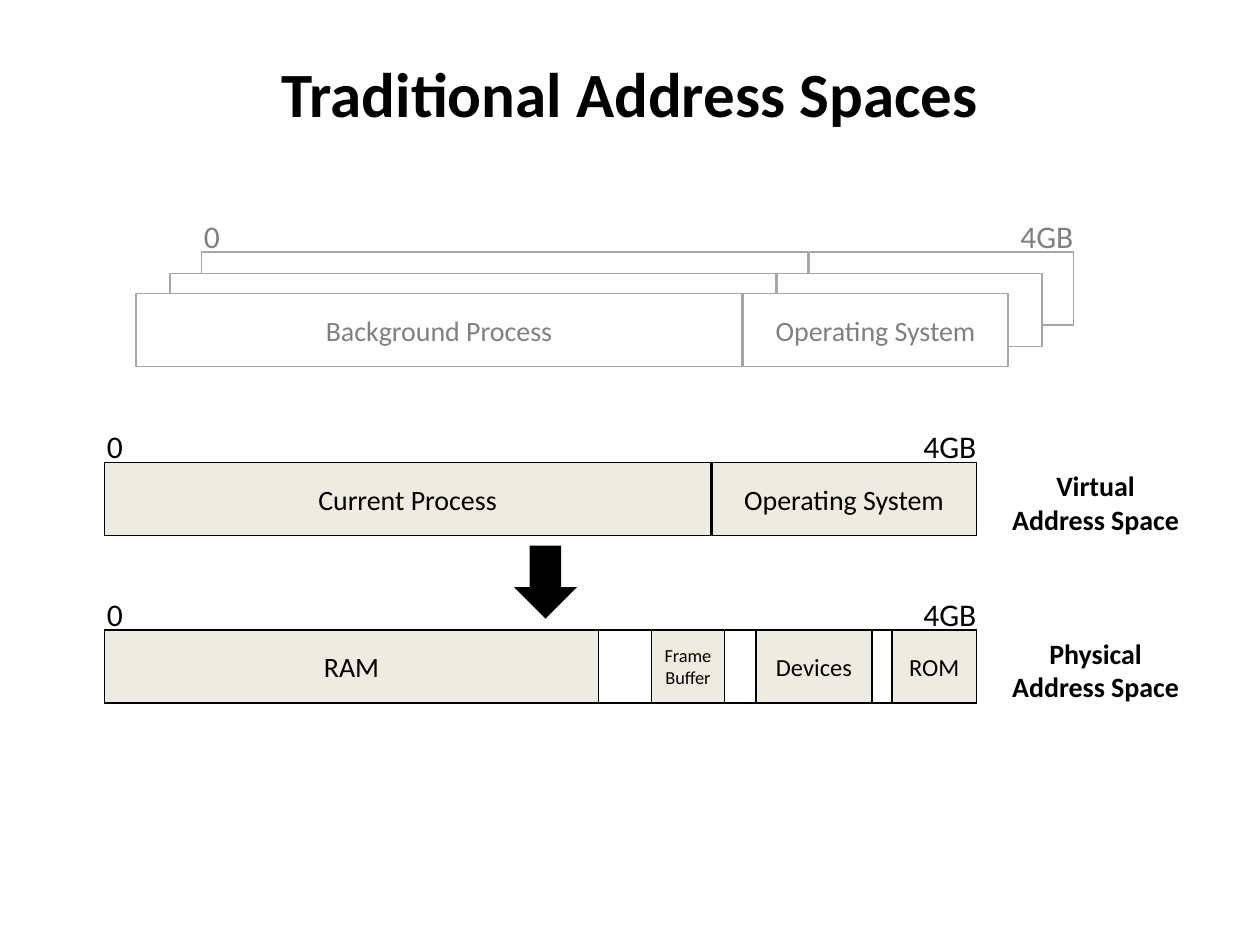
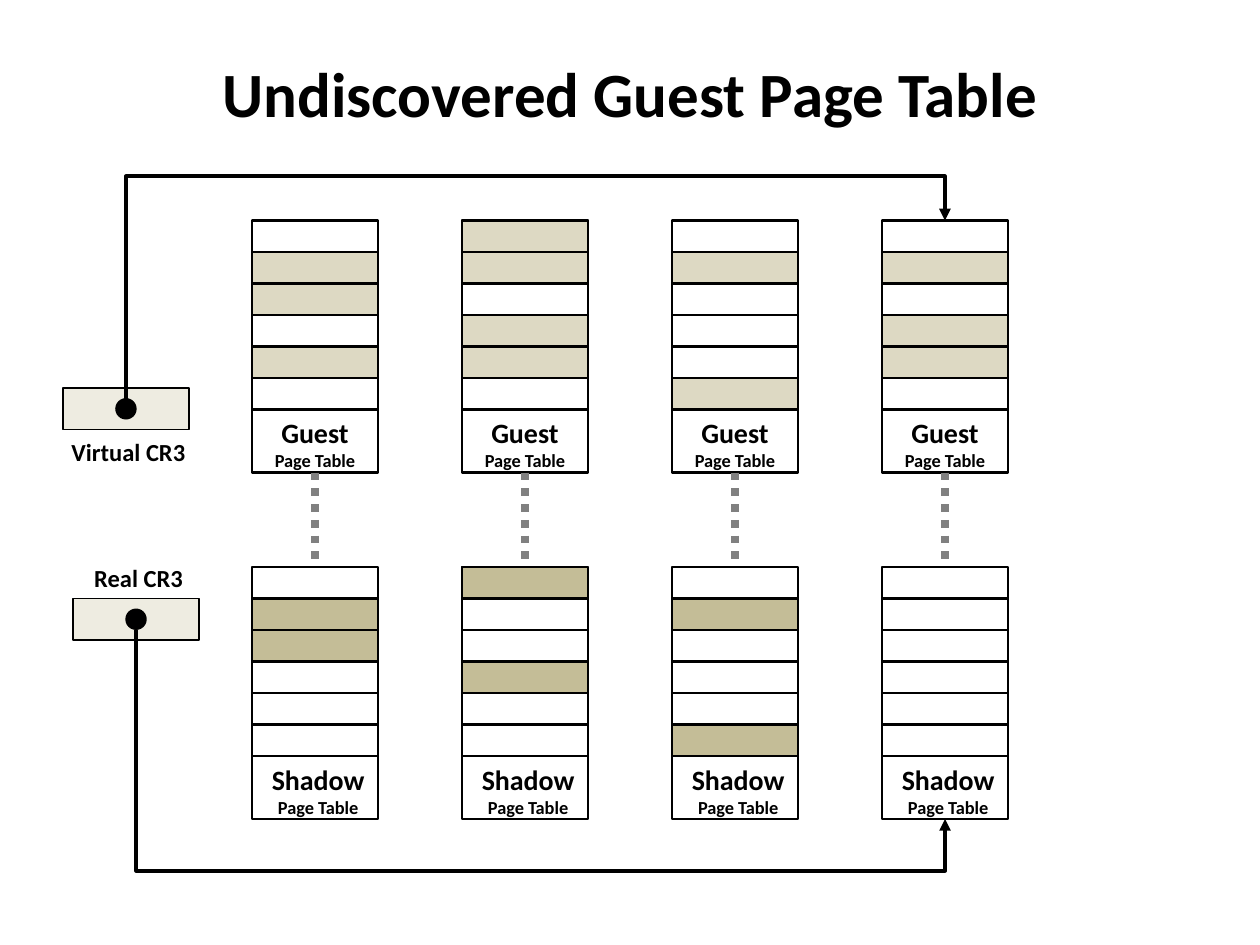
from lxml.etree import SubElement
from pptx import Presentation
from pptx.dml.color import RGBColor
from pptx.enum.dml import MSO_LINE
from pptx.enum.shapes import MSO_CONNECTOR as CXN, MSO_SHAPE as SHP
from pptx.enum.text import MSO_ANCHOR, MSO_AUTO_SIZE, PP_ALIGN
from pptx.oxml.ns import qn
from pptx.util import Inches, Pt

FONT = "Calibri"
COLORS = {
    "ink": "000000",
    "paper": "FFFFFF",
    "faded_text": "808080",
    "faded_line": "A6A6A6",
    "cream": "EEECE1",
    "guest": "DDD9C3",
    "shadow": "C4BD97",
}
TITLE_ONLY = 5
BAR_H = 0.58
BAR_W = 6.92
ROW_H = 0.25
ROWS = 6
TABLE_W, TABLE_H = 1, 2
CR3_W, CR3_H = 1, 0.33
DOT = 0.17


def rgb(name):
    return RGBColor.from_string(COLORS[name])


def write(shape, text, sizes=(16,), color="ink", bold=False, align=PP_ALIGN.CENTER,
          anchor=MSO_ANCHOR.MIDDLE, wrap=False):
    """Write one paragraph per line of text; the last size serves the remaining lines."""
    tf = shape.text_frame
    tf.word_wrap = wrap
    tf.vertical_anchor = anchor
    for i, line in enumerate(text.split("\n")):
        p = tf.paragraphs[0] if i == 0 else tf.add_paragraph()
        p.alignment = align
        r = p.add_run()
        r.text = line
        r.font.name = FONT
        r.font.size = Pt(sizes[min(i, len(sizes) - 1)])
        r.font.bold = bold
        r.font.color.rgb = rgb(color)


def add_label(shapes, box, text, **fmt):
    sp = shapes.add_textbox(*map(Inches, box))
    write(sp, text, anchor=MSO_ANCHOR.TOP, **fmt)
    sp.text_frame.auto_size = MSO_AUTO_SIZE.SHAPE_TO_FIT_TEXT
    return sp


def add_box(shapes, box, fill=None, line=None, width=1, kind=SHP.RECTANGLE):
    sp = shapes.add_shape(kind, *map(Inches, box))
    sp.shadow.inherit = False
    if fill:
        sp.fill.solid()
        sp.fill.fore_color.rgb = rgb(fill)
    else:
        sp.fill.background()
    if line:
        sp.line.color.rgb = rgb(line)
        sp.line.width = Pt(width)
    else:
        sp.line.fill.background()
    return sp


def add_line(shapes, start, end, color="ink", width=1.5, kind=CXN.STRAIGHT):
    cxn = shapes.add_connector(kind, *map(Inches, (*start, *end)))
    cxn.line.color.rgb = rgb(color)
    cxn.line.width = Pt(width)
    SubElement(cxn.element.spPr, qn("a:effectLst"))
    return cxn


def add_detour(shapes, start, end, rail_y):
    """Draw an elbow arrow that runs vertically to rail_y, across, then vertically to end."""
    (x0, y0), (x1, y1) = start, end
    cx, cy = (x0 + x1) / 2, (y0 + y1) / 2
    half_w, half_h = abs(y1 - y0) / 2, (x1 - x0) / 2
    # The elbow is laid out sideways, then turned upright about its centre.
    goes_up = y1 < y0
    drop = half_h if goes_up else -half_h
    cxn = add_line(shapes, (cx + half_w, cy + drop), (cx - half_w, cy - drop),
                   width=2.25, kind=CXN.ELBOW)
    sp_pr = cxn.element.spPr
    sp_pr.find(qn("a:xfrm")).set("rot", str((90 if goes_up else 270) * 60000))
    adjusts = sp_pr.find(qn("a:prstGeom")).find(qn("a:avLst"))
    bend = round((rail_y - y0) / (y1 - y0) * 100000)
    SubElement(adjusts, qn("a:gd"), name="adj1", fmla=f"val {bend}")
    SubElement(cxn.line._get_or_add_ln(), qn("a:tailEnd"), type="triangle")


def new_slide(prs, title):
    s = prs.slides.add_slide(prs.slide_layouts[TITLE_ONLY])
    sp = s.shapes.title
    sp.left, sp.top, sp.width, sp.height = map(Inches, (0.5, 0.3, 9, 0.87))
    write(sp, title, sizes=(36,), bold=True, wrap=True)
    return s


def address_bar(s, x, y, segments, fill="cream", line="ink", text="ink"):
    """Draw segments given as (offset, width, label, text size)."""
    for offset, width, label, size in segments:
        sp = add_box(s.shapes, (x + offset, y, width, BAR_H), fill, line)
        if label:
            write(sp, label, sizes=(size,), color=text)


def address_limits(s, x, y, color="ink"):
    for label, left, width in (("0", x - 0.08, 0.33), ("4GB", x + 6.4, 0.63)):
        add_label(s.shapes, (left, y - 0.33, width, 0.4), label, sizes=(18,),
                  color=color, align=PP_ALIGN.LEFT)


def process_segments(process="", system=""):
    return [(0, 4.81, process, 16), (4.82, 2.1, system, 16)]


def background_processes(s, x, y):
    """Stack three faded bars, the frontmost at the lower left."""
    faded = dict(fill="paper", line="faded_line", text="faded_text")
    address_limits(s, x, y, color="faded_text")
    for step in range(2):
        address_bar(s, x - 0.25 * step, y + 0.17 * step, process_segments(), **faded)
    address_bar(s, x - 0.52, y + 0.33,
                process_segments("Background Process", "Operating System"), **faded)


def address_spaces_slide(prs):
    s = new_slide(prs, "Traditional Address Spaces")
    x, virtual_y, physical_y = 0.83, 3.67, 5
    background_processes(s, 1.6, 2)
    address_bar(s, x, virtual_y, process_segments("Current Process", "Operating System"))
    add_box(s.shapes, (4.08, 4.33, 0.5, BAR_H), "ink", kind=SHP.DOWN_ARROW)
    address_bar(s, x, physical_y, [(0, BAR_W, "", 16)], fill="paper")
    address_bar(s, x, physical_y, [
        (0, 3.92, "RAM", 16),
        (4.34, 0.58, "Frame\nBuffer", 10.5),
        (5.17, 0.92, "Devices", 14),
        (6.25, 0.67, "ROM", 14),
    ])
    for name, y in (("Virtual", virtual_y), ("Physical", physical_y)):
        address_limits(s, x, y)
        add_label(s.shapes, (7.92, y, 1.55, 0.64), f"{name}\nAddress Space", bold=True)


def page_table(s, x, y, name, label_w, fill, used_rows):
    """Draw a table of rows above a caption and return its frame."""
    shapes = s.shapes.add_group_shape().shapes
    frame = add_box(shapes, (x, y, TABLE_W, TABLE_H), line="ink", width=1.5)
    for row in range(ROWS + 1):
        row_y = y + row * ROW_H
        add_line(shapes, (x, row_y), (x + TABLE_W, row_y))
    for row in used_rows:
        add_box(shapes, (x, y + row * ROW_H, TABLE_W, ROW_H), fill, "ink", 1.5)
    add_label(shapes, (x + 0.05, y + ROWS * ROW_H, label_w, 0.56),
              f"{name}\nPage Table", sizes=(16, 10.5), bold=True)
    return frame


def table_pair(s, x, guest_rows, shadow_rows):
    guest_y, shadow_y = 1.75, 4.5
    guest = page_table(s, x, guest_y, "Guest", 0.9, "guest", guest_rows)
    shadow = page_table(s, x, shadow_y, "Shadow", 0.95, "shadow", shadow_rows)
    mid = x + TABLE_W / 2
    link = add_line(s.shapes, (mid, guest_y + TABLE_H), (mid, shadow_y), "faded_text", 4.5)
    link.line.dash_style = MSO_LINE.ROUND_DOT
    link.begin_connect(guest, 2)
    link.end_connect(shadow, 0)


def cr3_register(s, x, y, name, label_x, label_y):
    add_box(s.shapes, (x, y, CR3_W, CR3_H), "cream", "ink", 0.75)
    add_box(s.shapes, (x + (CR3_W - DOT) / 2, y + (CR3_H - DOT) / 2, DOT, DOT),
            "ink", kind=SHP.OVAL)
    add_label(s.shapes, (label_x, label_y, 1.2, 0.34), name, sizes=(14,),
              bold=True, wrap=True)


def page_table_slide(prs):
    s = new_slide(prs, "Undiscovered Guest Page Table")
    used_rows = [
        ((1, 2, 4), (1, 2)),
        ((0, 1, 3, 4), (0, 3)),
        ((1, 5), (1, 5)),
        ((1, 3, 4), ()),
    ]
    for col, (guest_rows, shadow_rows) in enumerate(used_rows):
        table_pair(s, 2 + col * 5 / 3, guest_rows, shadow_rows)
    cr3_register(s, 0.5, 3.08, "Virtual CR3", 0.42, 3.42)
    cr3_register(s, 0.58, 4.75, "Real CR3", 0.5, 4.42)
    add_detour(s.shapes, (1, 3.17), (7.5, 1.75), 1.4)
    add_detour(s.shapes, (1.08, 5), (7.5, 6.5), 6.91)


def main():
    prs = Presentation()
    prs.slide_width, prs.slide_height = Inches(10), Inches(7.5)
    address_spaces_slide(prs)
    page_table_slide(prs)
    prs.save("out.pptx")


if __name__ == "__main__":
    main()
